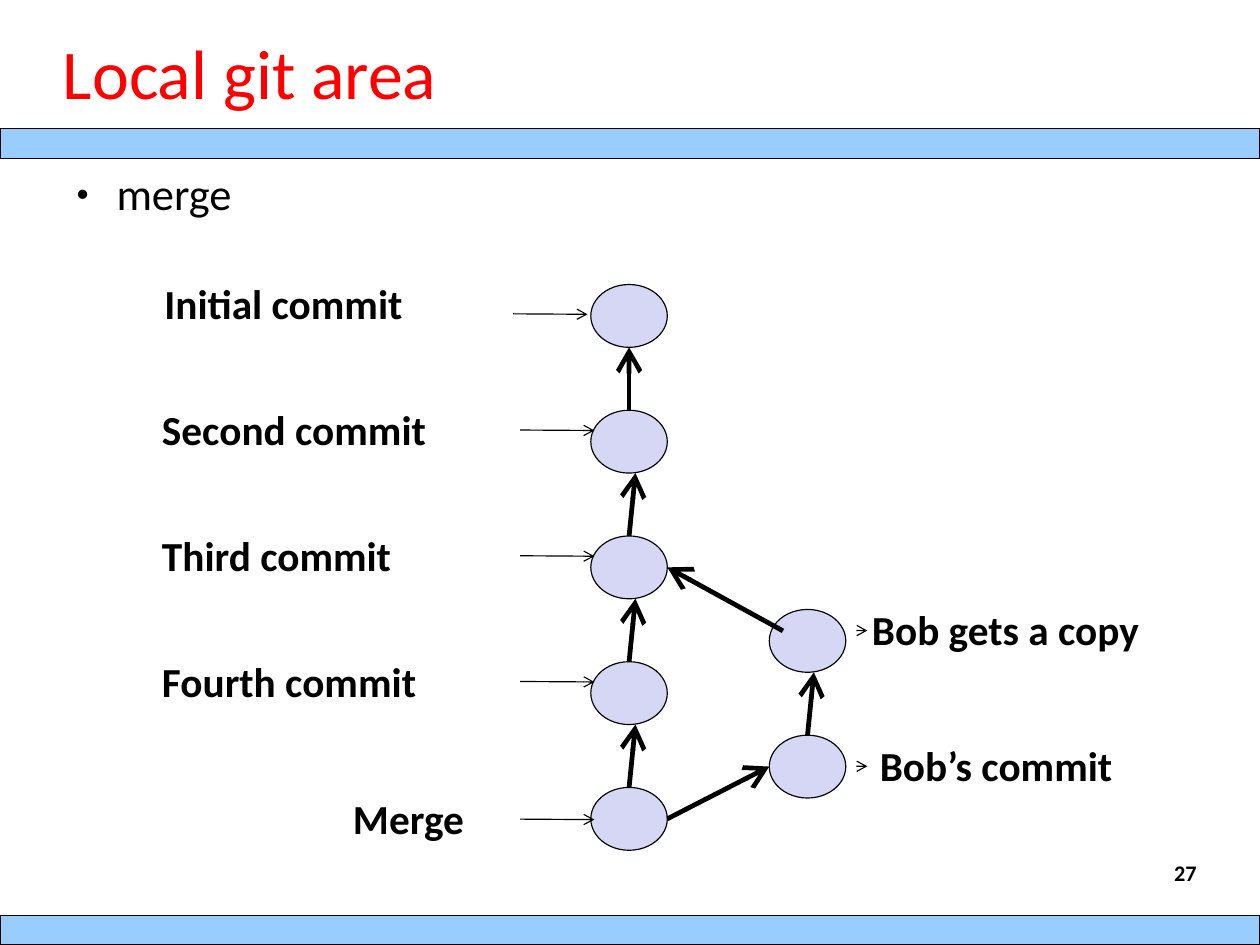
from dataclasses import dataclass

from lxml import etree
from pptx import Presentation
from pptx.dml.color import RGBColor
from pptx.enum.shapes import MSO_CONNECTOR, MSO_SHAPE
from pptx.enum.text import MSO_ANCHOR, PP_ALIGN
from pptx.oxml.ns import qn
from pptx.util import Pt

RECT, OVAL = MSO_SHAPE.RECTANGLE, MSO_SHAPE.OVAL
STRAIGHT = MSO_CONNECTOR.STRAIGHT
LEFT, RIGHT = PP_ALIGN.LEFT, PP_ALIGN.RIGHT
TOP, MIDDLE = MSO_ANCHOR.TOP, MSO_ANCHOR.MIDDLE


@dataclass(frozen=True)
class Theme:
    font: str = "Calibri"
    ink: str = "000000"
    title: str = "FF0000"
    band: str = "99CCFF"
    node: str = "D6D6F5"
    title_size: float = 44
    body_size: float = 28
    label_size: float = 26
    number_size: float = 14
    thin: float = 0.75
    thick: float = 3


def write(tf, text, size, color, font, bold=False, align=LEFT, spacing=1.0):
    """Put one formatted paragraph in a text frame and return it."""
    p = tf.paragraphs[0]
    p.alignment, p.line_spacing = align, spacing
    r = p.add_run()
    r.text = text
    r.font.name, r.font.size, r.font.bold = font, Pt(size), bold
    r.font.color.rgb = RGBColor.from_string(color)
    return p


class Deck:
    def __init__(self, s, theme):
        self.s, self.theme = s, theme

    def shape(self, kind, x, y, w, h, fill):
        sp = self.s.shapes.add_shape(kind, Pt(x), Pt(y), Pt(w), Pt(h))
        sp.shadow.inherit = False
        sp.fill.solid()
        sp.fill.fore_color.rgb = RGBColor.from_string(fill)
        sp.line.color.rgb = RGBColor.from_string(self.theme.ink)
        sp.line.width = Pt(self.theme.thin)

    def text(self, text, x, y, w, h, size, color=None, inset=(0, 0),
             anchor=TOP, **fmt):
        tf = self.s.shapes.add_textbox(Pt(x), Pt(y), Pt(w), Pt(h)).text_frame
        tf.word_wrap, tf.vertical_anchor = True, anchor
        tf.margin_left = tf.margin_right = Pt(inset[0])
        tf.margin_top = tf.margin_bottom = Pt(inset[1])
        return write(tf, text, size, color or self.theme.ink,
                     self.theme.font, **fmt)

    def label(self, text, x, y, w):
        self.text(text, x, y, w, 38.9, self.theme.label_size,
                  inset=(7.2, 3.6), bold=True)

    def bullet(self, text, x, y, w, h):
        p = self.text(text, x, y, w, h, self.theme.body_size, spacing=0.93)
        p.space_after = Pt(14.3)
        pPr = p._p.get_or_add_pPr()
        pPr.set("marL", str(Pt(33.8)))
        pPr.set("indent", str(Pt(-25.2)))
        color = etree.SubElement(pPr, qn("a:buClr"))
        etree.SubElement(color, qn("a:srgbClr"), val=self.theme.ink)
        etree.SubElement(pPr, qn("a:buSzPct"), val="45000")
        etree.SubElement(pPr, qn("a:buFont"), typeface=self.theme.font)
        etree.SubElement(pPr, qn("a:buChar"), char="●")

    def arrow(self, x1, y1, x2, y2, width, head="med"):
        c = self.s.shapes.add_connector(STRAIGHT, Pt(x1), Pt(y1), Pt(x2), Pt(y2))
        c.line.color.rgb = RGBColor.from_string(self.theme.ink)
        c.line.width = Pt(width)
        etree.SubElement(c.line._get_or_add_ln(), qn("a:tailEnd"),
                         type="arrow", w=head, len=head)
        etree.SubElement(c._element.spPr, qn("a:effectLst"))

    def pointer(self, x, y, length, drop=0):
        self.arrow(x, y, x + length, y + drop, self.theme.thin)

    def link(self, x1, y1, x2, y2):
        self.arrow(x1, y1, x2, y2, self.theme.thick, head="lg")


def main():
    width, height = 793.7, 595.28
    node_w, node_h, pitch = 48.2, 39.6, 79.2
    main_x, main_y = 372.2, 179.2
    bob_x, bob_y = 484.6, 383.9

    prs = Presentation()
    prs.slide_width, prs.slide_height = Pt(width), Pt(height)
    theme = Theme()
    deck = Deck(prs.slides.add_slide(prs.slide_layouts[6]), theme)

    # Bands, title, bullet and slide number
    for y in (81.2, 576.5):
        deck.shape(RECT, 0, y, width, 18.7, theme.band)
    deck.text("Local git area", 39.6, 3.6, 714.2, 81.4, theme.title_size,
              theme.title, anchor=MIDDLE, spacing=1.02)
    deck.bullet("merge", 39.6, 107.8, 714.2, 470.9)
    deck.text("27", 568.8, 542.2, 185, 41, theme.number_size,
              bold=True, align=RIGHT, spacing=0.95)

    # Main branch: label, label x, width and rise, pointer x and drop
    commits = [
        ("Initial commit", 96.5, 224.6, 7.2, 323.3, 18.5),
        ("Second commit", 95, 232.6, 7.2, 327.6, 12.5),
        ("Third commit", 95, 232.6, 7.2, 327.6, 12.5),
        ("Fourth commit", 95, 232.6, 7.2, 327.6, 12.5),
        ("Merge", 215.3, 112.3, 0, 327.6, 20),
    ]
    mid_x = main_x + node_w / 2
    for i, (name, x, w, rise, pointer_x, drop) in enumerate(commits):
        y = main_y + i * pitch
        deck.shape(OVAL, main_x, y, node_w, node_h, theme.node)
        deck.label(name, x, y - rise, w)
        deck.pointer(pointer_x, y + drop, 46.8, drop=0.3)
        if i:
            lean = 0 if i == 1 else 4
            deck.link(mid_x, y, mid_x + lean, y - pitch + node_h)

    # Bob's branch: label, label x, y and width, pointer y
    bob_commits = [
        ("Bob gets a copy", 542.2, 377.3, 247.7, 397.2),
        ("Bob’s commit", 547.2, 463, 220.3, 482.7),
    ]
    for i, (name, x, label_y, w, pointer_y) in enumerate(bob_commits):
        deck.shape(OVAL, bob_x, bob_y + i * pitch, node_w, node_h, theme.node)
        deck.label(name, x, label_y, w)
        deck.pointer(540.6, pointer_y, 5.8)
    bob_mid = bob_x + node_w / 2
    deck.link(bob_mid, bob_y + pitch, bob_mid + 4, bob_y + node_h)

    # Links between the branches
    main_right = main_x + node_w
    deck.link(493.2, 397.4, main_right, main_y + 2 * pitch + node_h / 2)
    deck.link(main_right, main_y + 4 * pitch + node_h / 2,
              bob_x, bob_y + pitch + node_h / 2)

    prs.save("out.pptx")


if __name__ == "__main__":
    main()
